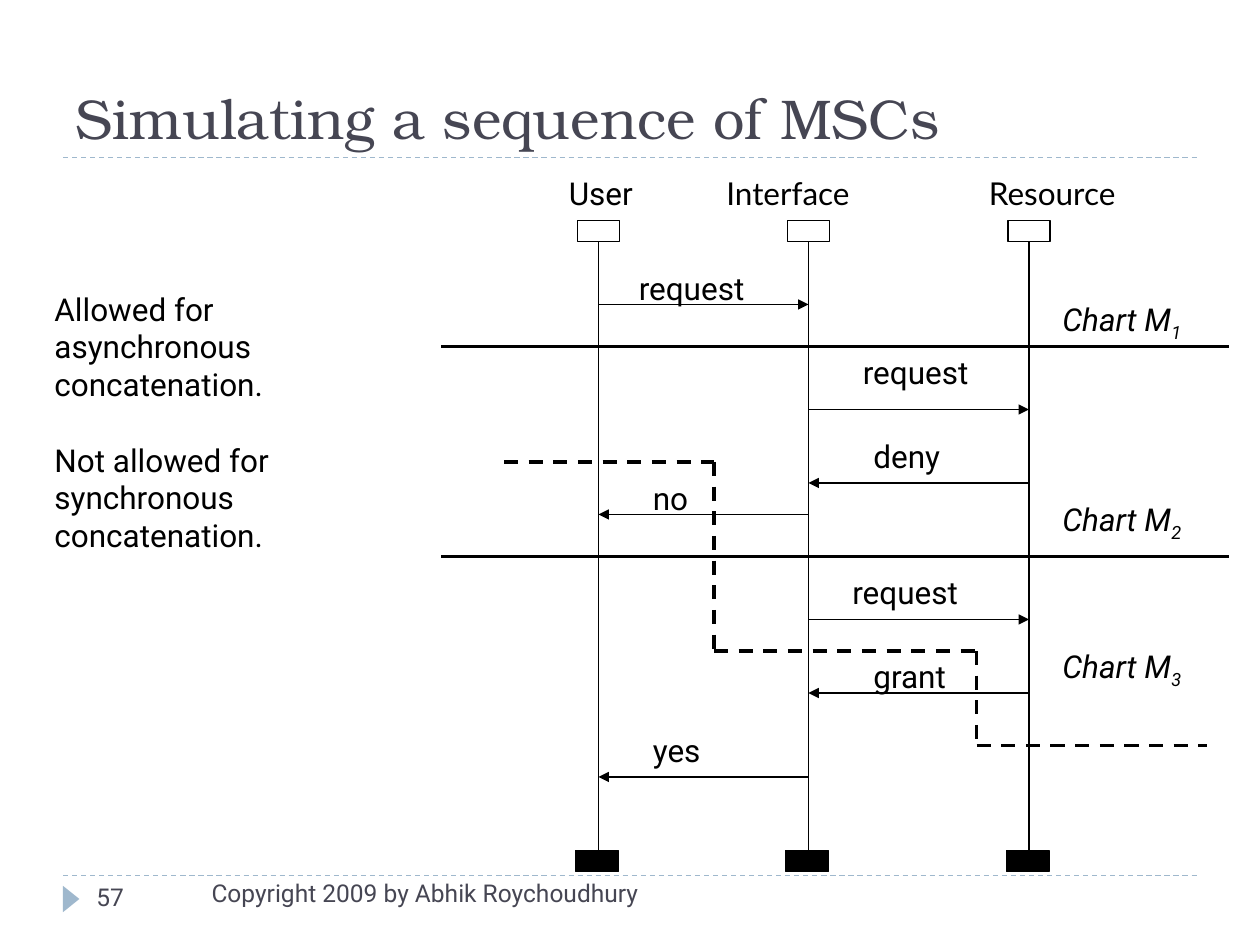
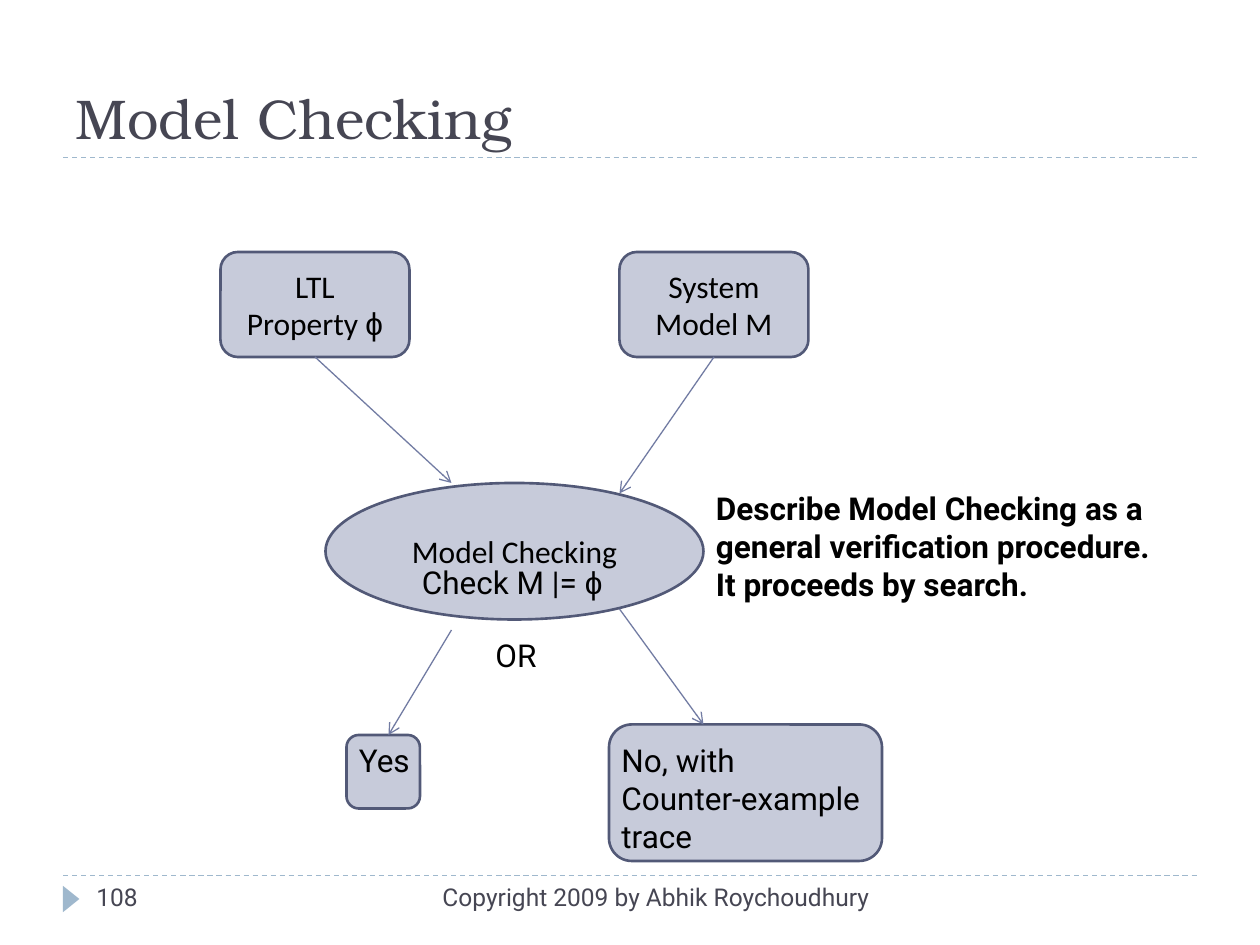
from lxml import etree
from pptx import Presentation
from pptx.dml.color import RGBColor
from pptx.enum.dml import MSO_LINE
from pptx.enum.shapes import MSO_CONNECTOR, MSO_SHAPE
from pptx.enum.text import MSO_ANCHOR, PP_ALIGN
from pptx.oxml.ns import qn
from pptx.util import Pt

STRAIGHT = MSO_CONNECTOR.STRAIGHT
DASH = MSO_LINE.DASH
RECTANGLE = MSO_SHAPE.RECTANGLE
ROUNDED = MSO_SHAPE.ROUNDED_RECTANGLE
ELLIPSE = MSO_SHAPE.OVAL
TRIANGLE = MSO_SHAPE.ISOSCELES_TRIANGLE
TOP, MIDDLE, BOTTOM = MSO_ANCHOR.TOP, MSO_ANCHOR.MIDDLE, MSO_ANCHOR.BOTTOM
LEFT, CENTER, RIGHT = PP_ALIGN.LEFT, PP_ALIGN.CENTER, PP_ALIGN.RIGHT

COLORS = {
    "title": "464653",
    "text": "000000",
    "rule": "9FB8CD",
    "node": "C7CBDA",
    "node_edge": "525977",
    "arrow": "727CA3",
}
TITLE_FONT, BODY_FONT = "TeX Gyre Bonum", "Roboto"
NAME_FONT, NODE_FONT, SYMBOL_FONT = "Lato", "Calibri", "Arial"
TOP_RULE, BOTTOM_RULE = 90, 500.4
LINE_HEIGHT = 21.5


def color(name):
    return RGBColor.from_string(COLORS[name])


# Text
def write_text(frame, paragraphs, font=BODY_FONT, size=18, ink="text",
               align=LEFT, anchor=TOP, bold=False, italic=False, gaps=()):
    """Fill a frame; gaps maps a paragraph index to its space before."""
    frame.word_wrap = True
    frame.vertical_anchor = anchor
    gaps = dict(gaps)
    for index, text in enumerate(paragraphs):
        para = frame.paragraphs[0] if index == 0 else frame.add_paragraph()
        para.alignment = align
        if index in gaps:
            para.space_before = Pt(gaps[index])
        para.font.name = font
        para.font.size = Pt(size)
        para.font.bold = bold
        para.font.italic = italic
        para.font.color.rgb = color(ink)
        para.add_run().text = text


def add_text(page, left, top, width, height, *paragraphs, **style):
    box = page.shapes.add_textbox(Pt(left), Pt(top), Pt(width), Pt(height))
    write_text(box.text_frame, paragraphs, **style)
    return box


def append_span(box, text):
    span = box.text_frame.paragraphs[-1].add_run()
    span.text = text
    return span


def append_phi(box):
    append_span(box, "ϕ").font.name = SYMBOL_FONT


# Lines and shapes
def add_line(page, start, end, ink="text", width=0.75, dashed=False, head=None):
    line = page.shapes.add_connector(STRAIGHT, *map(Pt, start + end))
    line.line.color.rgb = color(ink)
    line.line.width = Pt(width)
    if dashed:
        line.line.dash_style = DASH
    if head:
        etree.SubElement(line.line._get_or_add_ln(), qn("a:tailEnd"), type=head)
    etree.SubElement(line._element.spPr, qn("a:effectLst"))


def add_box(page, kind, left, top, width, height, fill=None, edge=None, weight=0.75):
    box = page.shapes.add_shape(kind, Pt(left), Pt(top), Pt(width), Pt(height))
    box.shadow.inherit = False
    if fill:
        box.fill.solid()
        box.fill.fore_color.rgb = color(fill)
    else:
        box.fill.background()
    if edge:
        box.line.color.rgb = color(edge)
        box.line.width = Pt(weight)
    else:
        box.line.fill.background()
    return box


def add_node(page, kind, left, top, width, height, *paragraphs):
    node = add_box(page, kind, left, top, width, height, "node", "node_edge", 1.5)
    if paragraphs:
        write_text(node.text_frame, paragraphs, font=NODE_FONT, align=CENTER,
                   anchor=MIDDLE)
    return node


# Title, rules and footer shared by the slides
def add_page(deck, title, number, copyright_left, copyright_top):
    page = deck.slides.add_slide(deck.slide_layouts[5])
    for rule in (BOTTOM_RULE, TOP_RULE):
        add_line(page, (36, rule), (684, rule), "rule", dashed=True)
    marker = add_box(page, TRIANGLE, 33.1, 509, 15.1, 9.4, "rule")
    marker.rotation = 90

    heading = page.shapes.title
    heading.left, heading.top = Pt(36), Pt(12)
    heading.width, heading.height = Pt(648), Pt(78)
    write_text(heading.text_frame, [title], font=TITLE_FONT, size=32,
               ink="title", anchor=BOTTOM)

    add_text(page, copyright_left, copyright_top, 276, 29,
             "Copyright 2009 by Abhik Roychoudhury", size=14, ink="title", align=RIGHT)
    add_text(page, 48, BOTTOM_RULE, 156, 29, number, size=14, ink="title")
    return page


def build_sequence_page(deck):
    page = add_page(deck, "Simulating a sequence of MSCs", "57", 96, 498)

    # Lifelines: name, x, label left, label width, label font
    user, interface, resource = 342, 462, 588
    for name, x, label_left, label_width, font in (
        ("User", user, 318, 72, BODY_FONT),
        ("Interface", interface, 408, 120, NAME_FONT),
        ("Resource", resource, 558, 108, NAME_FONT),
    ):
        add_text(page, label_left, 96, label_width, 29, name, font=font)
        add_box(page, RECTANGLE, x - 12, 126, 24, 12, edge="text")
        add_line(page, (x, 138), (x, 486))
        add_box(page, RECTANGLE, x - 13, 486, 24.5, 12, "text", "text")

    # Messages: text, sender, receiver, arrow y, label left, label top
    for text, sender, receiver, y, label_left, label_top in (
        ("request", user, interface, 174, 358, 150),
        ("request", interface, resource, 234, 486, 198),
        ("deny", resource, interface, 276, 492, 246),
        ("no", interface, user, 294, 366, 270),
        ("request", interface, resource, 354, 480, 324),
        ("grant", resource, interface, 396, 492, 372),
        ("yes", interface, user, 444, 366, 414),
    ):
        add_line(page, (sender, y), (receiver, y), head="triangle")
        add_text(page, label_left, label_top, 80, 29, text)

    # Charts and the borders between them
    for number, top in enumerate((168, 282, 366), start=1):
        label = add_text(page, 600, top, 102, 32, "Chart M", italic=True)
        subscript = append_span(label, str(number))
        subscript._r.get_or_add_rPr().set("baseline", "-25000")
    for y in (198, 318):
        add_line(page, (252, y), (702, y), width=2)

    # Dashed cut through the sequence
    corners = [(288, 264), (408, 264), (408, 372), (558, 372), (558, 426), (690, 426)]
    for start, end in zip(corners, corners[1:]):
        add_line(page, start, end, width=2, dashed=True)

    add_text(page, 24, 162, 204, 158,
             "Allowed for asynchronous", "concatenation.",
             "Not allowed for synchronous", "concatenation.",
             gaps={2: LINE_HEIGHT})


def build_checking_page(deck):
    page = add_page(deck, "Model Checking", "108", 228, BOTTOM_RULE)

    # Inputs, checker and outcomes
    add_node(page, ROUNDED, 198, 420, 42, 42)
    add_node(page, ROUNDED, 348, 414, 156, 78)
    append_phi(add_node(page, ROUNDED, 126, 144, 108, 60, "LTL Property "))
    add_node(page, ROUNDED, 354, 144, 108, 60, "System Model M")
    add_node(page, ELLIPSE, 186, 276, 216, 78, "Model Checking")
    append_phi(add_text(page, 234, 318, 132, 29, "Check M |= "))
    add_text(page, 198, 420, 84, 29, "Yes")
    add_text(page, 348, 420, 192, 72, "No, with", "Counter-example trace")

    # Flow
    for start, end in (
        ((180, 204), (258, 276)),
        ((408, 204), (354, 282)),
        ((258, 360), (222, 420)),
        ((354, 348), (402, 414)),
    ):
        add_line(page, start, end, "arrow", head="arrow")

    # Remarks
    add_text(page, 276, 360, 66, 29, "OR")
    add_text(page, 402, 276, 306, 72,
             "Describe Model Checking as a general verification procedure.",
             "It proceeds by search.", bold=True)


def main():
    deck = Presentation()
    deck.slide_width, deck.slide_height = Pt(720), Pt(540)
    build_sequence_page(deck)
    build_checking_page(deck)
    deck.save("out.pptx")


if __name__ == "__main__":
    main()
